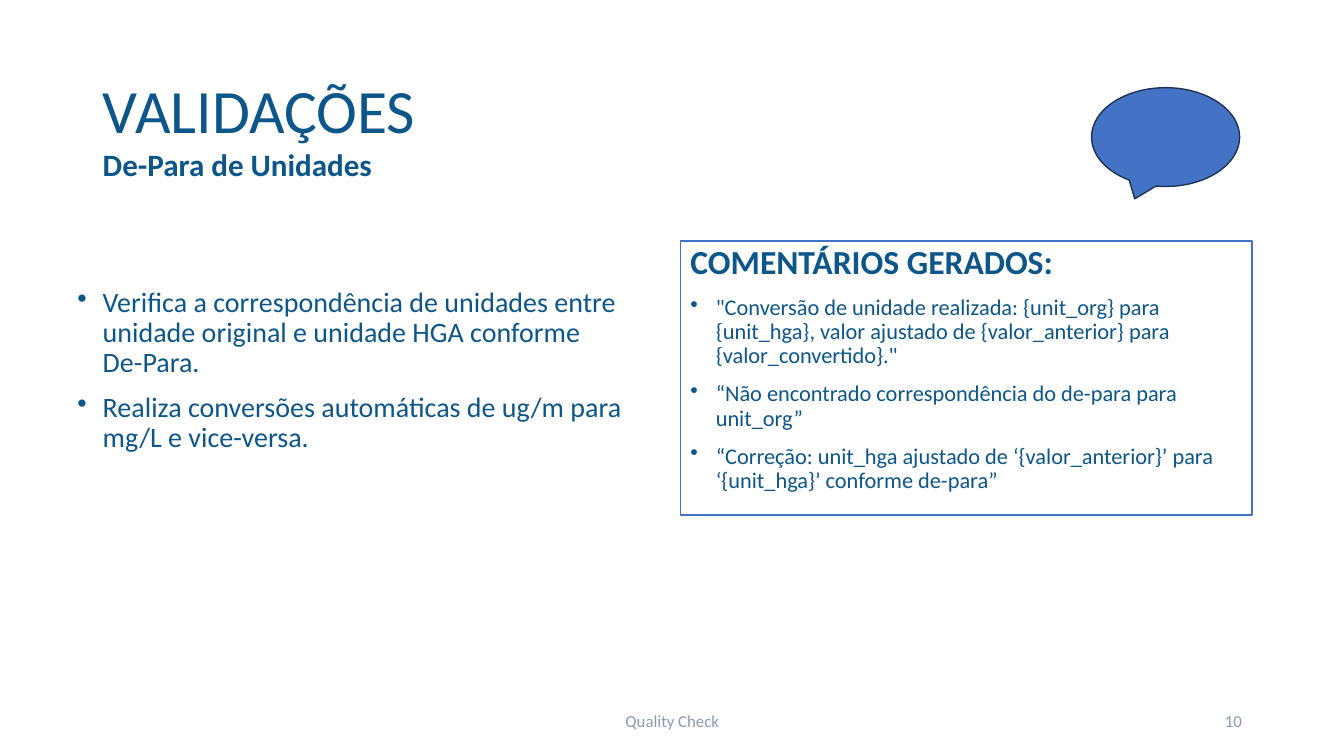
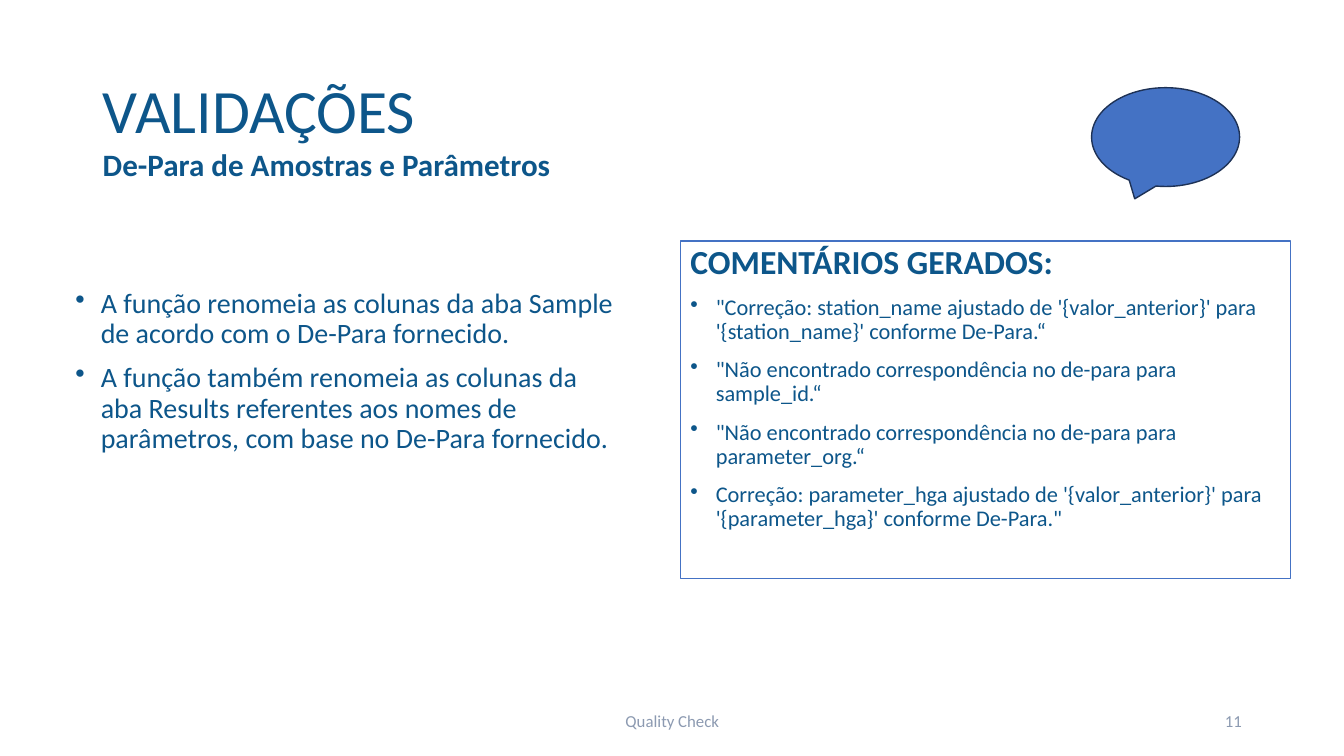
import pptx
import pptx.util
import pptx.dml.color
import pptx.enum.shapes
import pptx.enum.text
import pptx.oxml

Cm = pptx.util.Cm
Pt = pptx.util.Pt
Shape = pptx.enum.shapes.MSO_SHAPE
Align = pptx.enum.text.PP_ALIGN
Anchor = pptx.enum.text.MSO_ANCHOR

FONT = "Calibri"
NAVY = "0D568A"
BLUE = "4472C4"
EDGE = "1E3256"
GREY = "8C9AB1"
WHITE = "FFFFFF"
BULLET = ('<a:buChar xmlns:a="http://schemas.openxmlformats.org/'
          'drawingml/2006/main" char="•"/>')
INDENT = Cm(0.64)
FIRST = 10

PAGES = [
    {
        "topic": "De-Para de Unidades",
        "list": (1.7, 7.14, 14.33, 5.82),
        "points": [
            "Verifica a correspondência de unidades entre unidade original "
            "e unidade HGA conforme De-Para.",
            "Realiza conversões automáticas de ug/m para mg/L e vice-versa.",
        ],
        "panel": (17.15, 6.07, 14.4, 6.91),
        "notes": [
            "\"Conversão de unidade realizada: {unit_org} para {unit_hga}, "
            "valor ajustado de {valor_anterior} para {valor_convertido}.\"",
            "“Não encontrado correspondência do de-para para unit_org”",
            "“Correção: unit_hga ajustado de ‘{valor_anterior}’ para "
            "‘{unit_hga}’ conforme de-para”",
        ],
    },
    {
        "topic": "De-Para de Amostras e Parâmetros",
        "list": (1.65, 7.16, 14.33, 4.7),
        "points": [
            "A função renomeia as colunas da aba Sample de acordo com o "
            "De-Para fornecido.",
            "A função também renomeia as colunas da aba Results referentes "
            "aos nomes de parâmetros, com base no De-Para fornecido.",
        ],
        "panel": (17.15, 6.07, 15.37, 8.51),
        "notes": [
            "\"Correção: station_name ajustado de '{valor_anterior}' para "
            "'{station_name}' conforme De-Para.“",
            "\"Não encontrado correspondência no de-para para sample_id.“",
            "\"Não encontrado correspondência no de-para para "
            "parameter_org.“",
            "Correção: parameter_hga ajustado de '{valor_anterior}' para "
            "'{parameter_hga}' conforme De-Para.\"",
        ],
    },
]


def color(code):
    return pptx.dml.color.RGBColor.from_string(code)


def write(shape, lines, size, tint=NAVY, bold=False, bullet=False,
          align=Align.LEFT, anchor=Anchor.TOP, lead=0.9):
    """Add lines to a shape, filling its empty first paragraph first."""
    frame = shape.text_frame
    frame.word_wrap = True
    frame.auto_size = pptx.enum.text.MSO_AUTO_SIZE.NONE
    frame.vertical_anchor = anchor
    for line in lines:
        fresh = not frame.text
        para = frame.paragraphs[0] if fresh else frame.add_paragraph()
        para.text = line
        para.alignment = align
        para.line_spacing = lead
        para.space_before = Pt(0 if fresh else 10)
        if bullet:
            props = para._p.get_or_add_pPr()
            props.set("marL", str(INDENT))
            props.set("indent", str(-INDENT))
            props.append(pptx.oxml.parse_xml(BULLET))
        font = para.runs[0].font
        font.name = FONT
        font.size = Pt(size)
        font.bold = bold
        font.color.rgb = color(tint)


deck = pptx.Presentation()
deck.slide_width = Cm(33.87)
deck.slide_height = Cm(19.05)

for number, page in enumerate(PAGES, FIRST):
    slide = deck.slides.add_slide(deck.slide_layouts[5])
    shapes = slide.shapes

    title = shapes.title
    title.left, title.top = Cm(2.34), Cm(1.02)
    title.width, title.height = Cm(29.21), Cm(3.68)
    write(title, ["VALIDAÇÕES"], 44, anchor=Anchor.MIDDLE)

    topic = shapes.add_textbox(Cm(2.34), Cm(3.73), Cm(24.89), Cm(0.97))
    write(topic, [page["topic"]], 22.2, bold=True, anchor=Anchor.BOTTOM,
          lead=0.7)

    points = shapes.add_textbox(*map(Cm, page["list"]))
    write(points, page["points"], 20, bullet=True)

    panel = shapes.add_shape(Shape.RECTANGLE, *map(Cm, page["panel"]))
    bubble = shapes.add_shape(Shape.OVAL_CALLOUT, Cm(27.51), Cm(2.21),
                              Cm(3.73), Cm(2.49))
    for shape, fill, edge in (panel, WHITE, BLUE), (bubble, BLUE, EDGE):
        shape.shadow.inherit = False
        shape.fill.solid()
        shape.fill.fore_color.rgb = color(fill)
        shape.line.color.rgb = color(edge)
        shape.line.width = Pt(1)
    write(panel, ["COMENTÁRIOS GERADOS:"], 24, bold=True)
    write(panel, page["notes"], 16, bullet=True)

    for text, left, width, align in (
            ("Quality Check", 11.23, 11.43, Align.CENTER),
            (str(number), 23.93, 7.62, Align.RIGHT)):
        foot = shapes.add_textbox(Cm(left), Cm(17.65), Cm(width), Cm(1.02))
        write(foot, [text], 12, GREY, align=align, anchor=Anchor.MIDDLE,
              lead=1.0)

deck.save("out.pptx")
